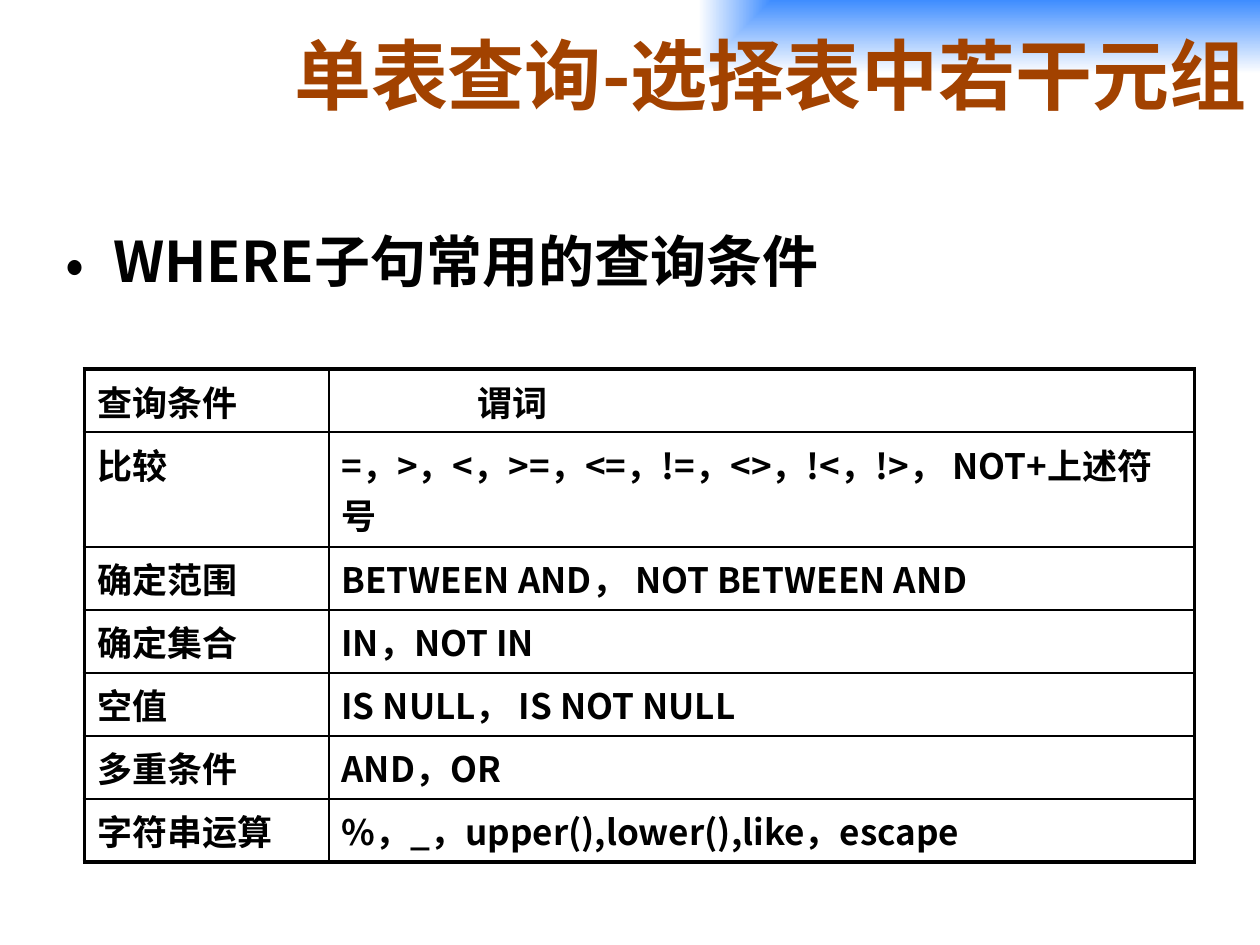
"""Build the slide on common WHERE conditions in single-table queries."""
from dataclasses import dataclass

from lxml import etree
from pptx import Presentation
from pptx.dml.color import RGBColor
from pptx.enum.text import MSO_ANCHOR, MSO_AUTO_SIZE, PP_ALIGN
from pptx.oxml import parse_xml
from pptx.oxml.ns import nsdecls, qn
from pptx.util import Inches, Pt

RIGHT = PP_ALIGN.RIGHT
MIDDLE = MSO_ANCHOR.MIDDLE
NO_FIT = MSO_AUTO_SIZE.NONE
COLORS = {"title": "A24200", "text": "000000", "blue": "3F8DFF", "white": "FFFFFF"}
SC_FONT = "Noto Sans CJK SC"
JP_FONT = "Noto Sans CJK JP"
THIN, THICK = 1, 2.25
COLUMN_WIDTHS = (1.94, 6.87)


@dataclass(frozen=True)
class Condition:
    name: str
    predicate: str
    font: str = SC_FONT
    indent: float = 0
    height: float = 0.5


CONDITIONS = [
    Condition("查询条件", "谓词", font=JP_FONT, indent=1.08),
    Condition("比较", "=，>，<，>=，<=，!=，<>，!<，!>， NOT+上述符号", height=0.91),
    Condition("确定范围", "BETWEEN AND， NOT BETWEEN AND"),
    Condition("确定集合", "IN，NOT IN"),
    Condition("空值", "IS NULL， IS NOT NULL"),
    Condition("多重条件", "AND，OR"),
    Condition("字符串运算", "%，_，upper(),lower(),like，escape"),
]


def write(frame, text: str, *, font: str, size: float, color: str = "text",
          align=None, indent: float = 0, hanging: float = 0, bullet: str = "") -> None:
    """Put one bold formatted paragraph in a text frame."""
    frame.word_wrap = True
    para = frame.paragraphs[0]
    properties = para._p.get_or_add_pPr()
    if indent:
        properties.set("marL", str(Inches(indent)))
        properties.set("indent", str(-Inches(hanging)))
    if bullet:
        etree.SubElement(properties, qn("a:buFont")).set("typeface", font)
        etree.SubElement(properties, qn("a:buChar")).set("char", bullet)
    if align is not None:
        para.alignment = align
    span = para.add_run()
    span.text = text
    span.font.name = font
    span.font.size = Pt(size)
    span.font.bold = True
    span.font.color.rgb = RGBColor.from_string(COLORS[color])
    etree.SubElement(span._r.get_or_add_rPr(), qn("a:ea")).set("typeface", font)


def place(shape, left: float, top: float, width: float, height: float) -> None:
    """Set the position and size of a shape in inches."""
    shape.left, shape.top = Inches(left), Inches(top)
    shape.width, shape.height = Inches(width), Inches(height)


def fill_from_corner(shape, start: str, end: str) -> None:
    """Fill a shape with a gradient spreading from its top right corner."""
    shape._element.spPr.append(parse_xml(
        f'<a:gradFill {nsdecls("a")} rotWithShape="0"><a:gsLst>'
        f'<a:gs pos="0"><a:srgbClr val="{COLORS[start]}"/></a:gs>'
        f'<a:gs pos="100000"><a:srgbClr val="{COLORS[end]}"/></a:gs></a:gsLst>'
        '<a:path path="rect"><a:fillToRect l="100000" b="100000"/></a:path></a:gradFill>'))


def set_borders(cell, widths: dict[str, float]) -> None:
    """Draw the four borders of a cell, given as side and width in points."""
    properties = cell._tc.get_or_add_tcPr()
    for index, (side, width) in enumerate(widths.items()):
        properties.insert(index, parse_xml(
            f'<a:ln{side} {nsdecls("a")} w="{Pt(width)}"><a:solidFill>'
            f'<a:srgbClr val="{COLORS["text"]}"/></a:solidFill></a:ln{side}>'))


def draw_conditions(page, conditions: list[Condition]) -> None:
    """Draw the table of conditions with a thick outer frame."""
    rows, columns = len(conditions), len(COLUMN_WIDTHS)
    height = sum(condition.height for condition in conditions)
    table = page.shapes.add_table(
        rows, columns, Inches(0.67), Inches(2.93),
        Inches(sum(COLUMN_WIDTHS)), Inches(height)).table
    table.first_row = table.horz_banding = False
    for column, width in zip(table.columns, COLUMN_WIDTHS):
        column.width = Inches(width)
    for row, condition in enumerate(conditions):
        table.rows[row].height = Inches(condition.height)
        name, predicate = table.cell(row, 0), table.cell(row, 1)
        write(name.text_frame, condition.name, font=JP_FONT, size=20)
        write(predicate.text_frame, condition.predicate, font=condition.font,
              size=20, indent=condition.indent)
        for column, cell in enumerate((name, predicate)):
            cell.fill.background()
            set_borders(cell, {
                "L": THICK if column == 0 else THIN,
                "R": THICK if column == columns - 1 else THIN,
                "T": THICK if row == 0 else THIN,
                "B": THICK if row == rows - 1 else THIN,
            })


def main() -> None:
    """Create the deck and save it."""
    deck = Presentation()
    deck.slide_width, deck.slide_height = Inches(10), Inches(7.5)
    page = deck.slides.add_slide(deck.slide_layouts[5])

    title = page.shapes.title
    place(title, 1.08, 0, 8.92, 1.17)
    fill_from_corner(title, "blue", "white")
    title.text_frame.auto_size = NO_FIT
    title.text_frame.vertical_anchor = MIDDLE
    write(title.text_frame, "单表查询-选择表中若干元组", font=SC_FONT, size=44,
          color="title", align=RIGHT)

    box = page.shapes.add_textbox(Inches(0.42), Inches(1.75), Inches(8.57), Inches(0.62))
    write(box.text_frame, "WHERE子句常用的查询条件", font=JP_FONT, size=32,
          indent=0.38, hanging=0.38, bullet="•")

    draw_conditions(page, CONDITIONS)
    deck.save("out.pptx")


if __name__ == "__main__":
    main()
